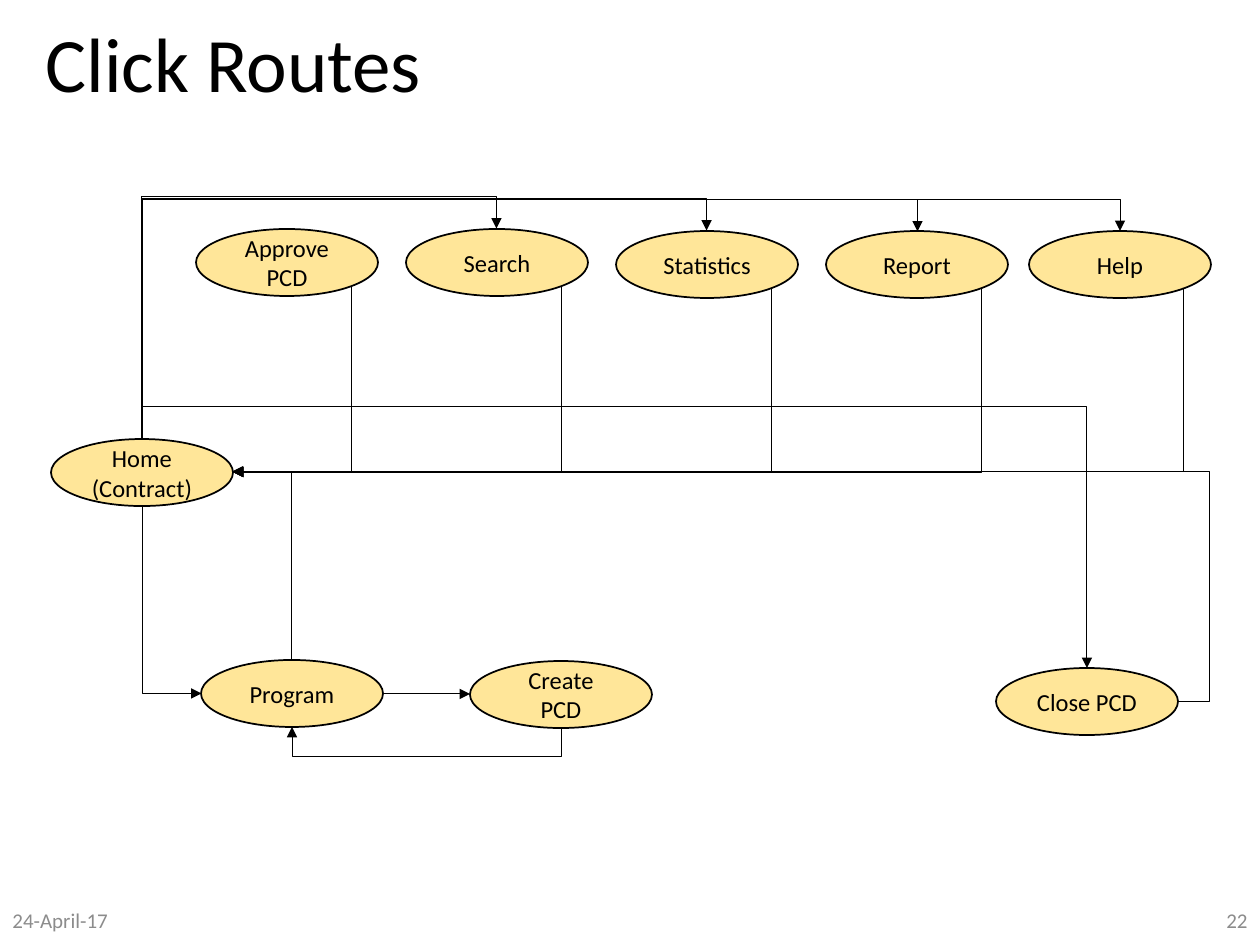
import math

from lxml import etree
from pptx import Presentation
from pptx import util as u
from pptx.dml.color import RGBColor
from pptx.enum import shapes, text
from pptx.oxml.ns import qn

PX = 914400 // 126
BLACK = RGBColor(0x00, 0x00, 0x00)
GREY = RGBColor(0x8C, 0x8C, 0x8C)
YELLOW = RGBColor(0xFF, 0xE6, 0x99)

PAGE_W, PAGE_H = 182, 67
TOP_X, TOP_STEP = 196, 210
LOOP = 32  # how far a route runs above the page it enters

PAGES = {
    "Approve PCD": (TOP_X, 229),
    "Search": (TOP_X + TOP_STEP, 229),
    "Statistics": (TOP_X + 2 * TOP_STEP, 231),
    "Report": (TOP_X + 3 * TOP_STEP, 231),
    "Help": (1029, 231),
    "Home\n(Contract)": (51, 439),
    "Program": (201, 660),
    "Create PCD": (470, 661),
    "Close PCD": (996, 668),
}
HOME = "Home\n(Contract)"

# Connection sites of an ellipse, with their direction from the centre
TOP, LEFT, BOTTOM, LOWER_RIGHT, RIGHT = 0, 2, 4, 5, 6
DIAGONAL = math.sqrt(0.5)
DIRECTIONS = {
    TOP: (0, -1),
    LEFT: (-1, 0),
    BOTTOM: (0, 1),
    LOWER_RIGHT: (DIAGONAL, DIAGONAL),
    RIGHT: (1, 0),
}


def px(*lengths):
    return [round(n) * PX for n in lengths]


def write(tf, words, size, color, align):
    tf.word_wrap = True
    tf.vertical_anchor = text.MSO_ANCHOR.MIDDLE
    tf.text = words
    for p in tf.paragraphs:
        p.alignment = align
        for r in p.runs:
            r.font.name = "Calibri"
            r.font.size = u.Pt(size)
            r.font.color.rgb = color


def add_label(s, words, box, size, color, align=text.PP_ALIGN.LEFT):
    tf = s.shapes.add_textbox(*px(*box)).text_frame
    write(tf, words, size, color, align)
    return tf


def add_page(s, name, x, y):
    sp = s.shapes.add_shape(shapes.MSO_SHAPE.OVAL, *px(x, y, PAGE_W, PAGE_H))
    sp.shadow.inherit = False
    sp.fill.solid()
    sp.fill.fore_color.rgb = YELLOW
    sp.line.color.rgb = BLACK
    sp.line.width = u.Pt(1)
    write(sp.text_frame, name, 14, BLACK, text.PP_ALIGN.CENTER)
    return sp


def site_point(name, site):
    x, y = PAGES[name]
    dx, dy = DIRECTIONS[site]
    return (round(x + PAGE_W / 2 * (1 + dx)), round(y + PAGE_H / 2 * (1 + dy)))


def add_route(s, pages, start, start_site, end, end_site, bend=None):
    """Join two pages with an elbow arrow; bend is where its middle leg runs."""
    x1, y1 = site_point(start, start_site)
    x2, y2 = site_point(end, end_site)
    dx, dy = x2 - x1, y2 - y1
    c = s.shapes.add_connector(shapes.MSO_CONNECTOR.ELBOW, 0, 0, 0, 0)
    w, h = abs(dx), abs(dy)
    if start_site == RIGHT:
        rot, flip_h, flip_v = 0, dx < 0, dy < 0
        origin, run = x1, dx
    else:  # the first leg is vertical, so the elbow is turned
        rot = 270 if dx * dy > 0 else 90
        flip_h, flip_v = dx > 0, (dx > 0) == (rot == 90)
        origin, run = y1, dy
        w, h = h, w
    c.left, c.top, c.width, c.height = px(
        (x1 + x2 - w) / 2, (y1 + y2 - h) / 2, w, h)

    sp_pr = c.element.spPr
    xfrm = sp_pr.find(qn("a:xfrm"))
    for key, value in (("rot", rot * 60000), ("flipH", int(flip_h)),
                       ("flipV", int(flip_v))):
        xfrm.set(key, str(value))
    geom = sp_pr.find(qn("a:prstGeom"))
    if bend is None:
        geom.set("prst", "bentConnector2")
    else:
        adj = round((bend - origin) / run * 100000)
        etree.SubElement(geom.find(qn("a:avLst")), qn("a:gd"),
                         name="adj1", fmla=f"val {adj}")

    c.line.color.rgb = BLACK
    c.line.width = u.Pt(0.5)
    etree.SubElement(sp_pr.find(qn("a:ln")), qn("a:tailEnd"), type="triangle")
    etree.SubElement(sp_pr, qn("a:effectLst"))
    joins = next(c.element.iter(qn("p:cNvCxnSpPr")))
    for tag, name, site in (("a:stCxn", start, start_site),
                            ("a:endCxn", end, end_site)):
        etree.SubElement(joins, qn(tag), id=str(pages[name].shape_id),
                         idx=str(site))


def main():
    prs = Presentation()
    prs.slide_width, prs.slide_height = u.Inches(10), u.Inches(7.5)
    s = prs.slides.add_slide(prs.slide_layouts[6])

    title = add_label(s, "Click Routes", (33, 13, 1086, 110), 44, BLACK)
    title.paragraphs[0].line_spacing = 0.9
    add_label(s, "24-April-17", (0, 895, 284, 50), 12, GREY)
    add_label(s, "22", (976, 895, 284, 50), 12, GREY, text.PP_ALIGN.RIGHT)

    pages = {name: add_page(s, name, *at) for name, at in PAGES.items()}

    for name in ("Search", "Statistics", "Report", "Help"):
        add_route(s, pages, HOME, TOP, name, TOP, PAGES[name][1] - LOOP)
    for name in ("Approve PCD", "Search", "Statistics", "Report", "Help"):
        add_route(s, pages, name, LOWER_RIGHT, HOME, RIGHT)
    add_route(s, pages, HOME, TOP, "Close PCD", TOP, PAGES[HOME][1] - LOOP)
    add_route(s, pages, "Close PCD", RIGHT, HOME, RIGHT, 1209)
    add_route(s, pages, HOME, BOTTOM, "Program", LEFT)
    add_route(s, pages, "Program", TOP, HOME, RIGHT)
    add_route(s, pages, "Program", RIGHT, "Create PCD", LEFT, 426)
    add_route(s, pages, "Create PCD", BOTTOM, "Program", BOTTOM, 757)

    prs.save("out.pptx")


if __name__ == "__main__":
    main()
